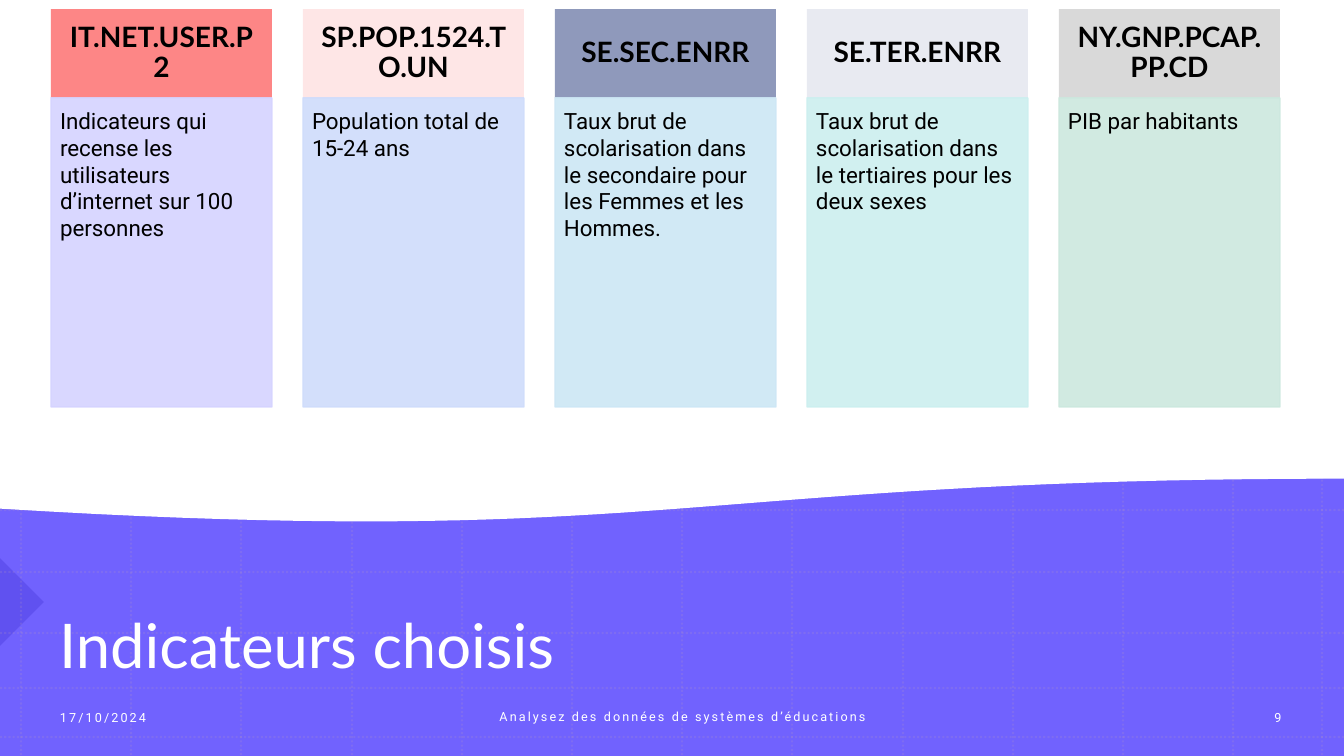
from lxml.etree import SubElement
from pptx import Presentation
from pptx.dml.color import RGBColor
from pptx.enum.dml import MSO_LINE
from pptx.enum.shapes import MSO_CONNECTOR, MSO_SHAPE
from pptx.enum.text import MSO_ANCHOR, MSO_AUTO_SIZE, PP_ALIGN
from pptx.oxml.ns import qn
from pptx.util import Emu, Pt

WIDTH, HEIGHT = 1344, 756
EMU_PER_PX = 12192000 / WIDTH

WHITE = RGBColor(0xFF, 0xFF, 0xFF)
BLACK = RGBColor(0x00, 0x00, 0x00)
VIOLET = RGBColor(0x71, 0x62, 0xFE)
INDIGO = RGBColor(0x12, 0x01, 0xAF)
MAUVE = RGBColor(0xB4, 0x95, 0xC2)
CORAL = RGBColor(0xFD, 0x86, 0x86)
SLATE = RGBColor(0x8F, 0x99, 0xBB)
GREY = RGBColor(0xD9, 0xD9, 0xD9)
LAVENDER = RGBColor(0xD5, 0xD3, 0xFF)
PERIWINKLE = RGBColor(0xCF, 0xDC, 0xFB)
SKY = RGBColor(0xCD, 0xE7, 0xF5)
AQUA = RGBColor(0xCC, 0xEF, 0xEF)
MINT = RGBColor(0xCC, 0xE8, 0xDE)

TITLE = {"name": "Lato", "size": Pt(44), "color": WHITE}
CODE = {"name": "Lato", "size": Pt(20), "bold": True, "color": BLACK}
DESCRIPTION = {"name": "Roboto", "size": Pt(16), "color": BLACK}
FOOTER = {"name": "Roboto", "size": Pt(9), "color": WHITE}

# code, header colour, header opacity, description, body colour
INDICATORS = [
    ("IT.NET.USER.P2", CORAL, 100,
     "Indicateurs qui recense les utilisateurs d’internet sur 100 personnes", LAVENDER),
    ("SP.POP.1524.TO.UN", CORAL, 20, "Population total de 15-24 ans", PERIWINKLE),
    ("SE.SEC.ENRR", SLATE, 100,
     "Taux brut de scolarisation dans le secondaire pour les Femmes et les Hommes.", SKY),
    ("SE.TER.ENRR", SLATE, 20,
     "Taux brut de scolarisation dans le tertiaires pour les deux sexes", AQUA),
    ("NY.GNP.PCAP.PP.CD", GREY, 100, "PIB par habitants", MINT),
]


def px(length):
    return Emu(round(length * EMU_PER_PX))


def bezier(points, steps=40):
    """Points along a cubic curve, without its start."""
    for step in range(1, steps + 1):
        t = step / steps
        weights = ((1 - t) ** 3, 3 * t * (1 - t) ** 2, 3 * t * t * (1 - t), t ** 3)
        yield tuple(sum(w * point[axis] for w, point in zip(weights, points))
                    for axis in (0, 1))


def set_opacity(element, percent):
    if percent < 100:
        for color in list(element.iter(qn("a:srgbClr"))):
            SubElement(color, qn("a:alpha"), val=str(percent * 1000))


class SlideBuilder:
    def __init__(self):
        self.deck = Presentation()
        self.deck.slide_width, self.deck.slide_height = px(WIDTH), px(HEIGHT)
        self.page = self.deck.slides.add_slide(self.deck.slide_layouts[5])
        self.shapes = self.page.shapes

    def paint(self, shape, fill, opacity=100, outline=None):
        shape.shadow.inherit = False
        shape.fill.solid()
        shape.fill.fore_color.rgb = fill
        if outline is None:
            shape.line.fill.background()
        else:
            shape.line.color.rgb = outline
            shape.line.width = Pt(1)
        set_opacity(shape._element.spPr, opacity)
        return shape

    def block(self, place, fill, opacity=100, outline=None, preset=MSO_SHAPE.RECTANGLE):
        shape = self.shapes.add_shape(preset, *map(px, place))
        return self.paint(shape, fill, opacity, outline)

    def grid_line(self, *ends):
        line = self.shapes.add_connector(MSO_CONNECTOR.STRAIGHT, *map(px, ends))
        line.line.color.rgb = MAUVE
        line.line.width = Pt(1.5)
        line.line.dash_style = MSO_LINE.ROUND_DOT
        set_opacity(line._element.spPr, 20)
        SubElement(line._element.spPr, qn("a:effectLst"))

    def outline(self, points, fill):
        start, *rest = [tuple(map(px, point)) for point in points]
        builder = self.shapes.build_freeform(*start, scale=1.0)
        builder.add_line_segments(rest, close=True)
        return self.paint(builder.convert_to_shape(), fill, outline=fill)

    def put_text(self, box, text, font, align=PP_ALIGN.LEFT, anchor=MSO_ANCHOR.MIDDLE,
                 insets=(10, 5, 10, 5), spacing=1.0, tracking=None):
        frame = box.text_frame
        sides = ("margin_left", "margin_top", "margin_right", "margin_bottom")
        settings = dict(zip(sides, map(px, insets)), word_wrap=True,
                        auto_size=MSO_AUTO_SIZE.NONE, vertical_anchor=anchor)
        for name, value in settings.items():
            setattr(frame, name, value)
        para = frame.paragraphs[0]
        para.alignment, para.line_spacing = align, spacing
        span = para.add_run()
        span.text = text
        for name, value in font.items():
            if name == "color":
                span.font.color.rgb = value
            else:
                setattr(span.font, name, value)
        if tracking:
            span._r.get_or_add_rPr().set("spc", str(tracking))

    def title(self, place, text):
        box = self.shapes.title
        for name, value in zip(("left", "top", "width", "height"), place):
            setattr(box, name, px(value))
        self.shapes._spTree.append(box._element)
        self.put_text(box, text, TITLE, spacing=0.9)

    def footer(self, place, text, align):
        box = self.shapes.add_textbox(*map(px, place))
        self.put_text(box, text, FOOTER, align, tracking=150)

    def card(self, left, code, header_fill, opacity, description, body_fill):
        header = self.block((left, 9, 221, 89), header_fill, opacity)
        self.put_text(header, code, CODE, PP_ALIGN.CENTER, insets=(16, 9, 16, 9),
                      spacing=0.9)
        body = self.block((left, 98, 221, 309), body_fill, 90, outline=body_fill)
        self.put_text(body, description, DESCRIPTION, anchor=MSO_ANCHOR.TOP,
                      insets=(9, 9, 12, 14))


def main():
    slide = SlideBuilder()
    slide.block((0, 0, WIDTH, HEIGHT), VIOLET)
    slide.block((-31, 571, 62, 62), INDIGO, 17,
                preset=MSO_SHAPE.RIGHT_TRIANGLE).rotation = 225
    for column in range(13):
        x = min(21 + round(column * 110.2), 1322)
        slide.grid_line(x, 0, x, HEIGHT)
    for y in (510, 572, 633, 688, 737):
        slide.grid_line(0, y, WIDTH, y)
    wave = bezier([(1346, 478), (675, 478), (671, 549), (0, 508)])
    slide.outline([(0, -3), (1346, -3), (1346, 478), *wave], WHITE)

    slide.title((49, 561, 1184, 175), "Indicateurs choisis")
    slide.footer((50, 698, 282, 40), "17/10/2024", PP_ALIGN.LEFT)
    slide.footer((463, 697, 439, 40), "Analysez des données de systèmes d’éducations",
                 PP_ALIGN.CENTER)
    slide.footer((1234, 698, 88, 40), "9", PP_ALIGN.CENTER)
    for index, indicator in enumerate(INDICATORS):
        slide.card(51 + index * 252, *indicator)
    slide.deck.save("out.pptx")


if __name__ == "__main__":
    main()
